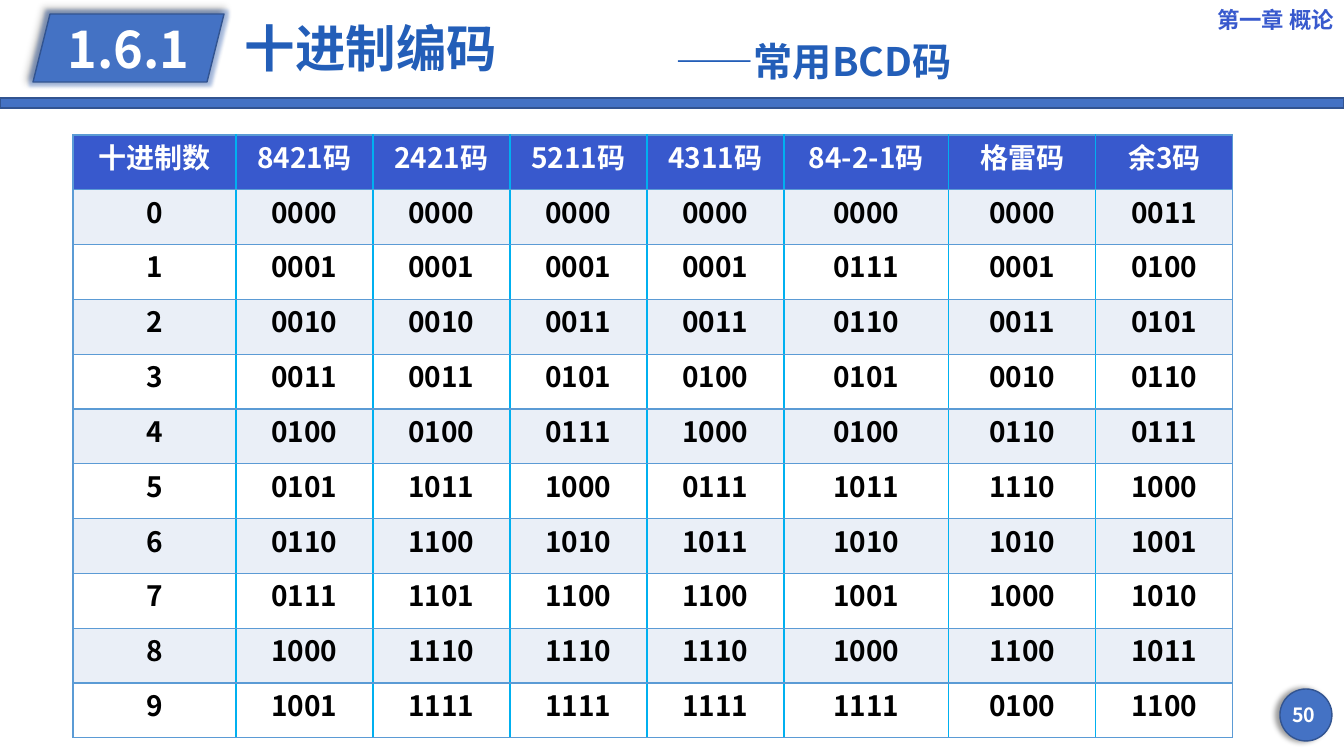
from lxml.etree import SubElement
from pptx import Presentation
from pptx.dml.color import RGBColor
from pptx.enum.shapes import MSO_SHAPE
from pptx.enum.text import MSO_ANCHOR, PP_ALIGN
from pptx.oxml.ns import qn
from pptx.util import Emu, Pt

COLORS = {
    "blue": "4472C4", "outline": "325491", "title": "235EB8", "header": "3859CD",
    "row": "5B9BD5", "column": "00B0F0", "band": "EAEFF7",
    "white": "FFFFFF", "black": "000000",
}
FONT = "Noto Sans CJK SC"
COLUMN_WIDTHS = [163, 137, 137, 137, 137, 165, 147, 137]
CODE_TABLE = [
    "十进制数 8421码 2421码 5211码 4311码 84-2-1码 格雷码 余3码",
    "0 0000 0000 0000 0000 0000 0000 0011",
    "1 0001 0001 0001 0001 0111 0001 0100",
    "2 0010 0010 0011 0011 0110 0011 0101",
    "3 0011 0011 0101 0100 0101 0010 0110",
    "4 0100 0100 0111 1000 0100 0110 0111",
    "5 0101 1011 1000 0111 1011 1110 1000",
    "6 0110 1100 1010 1011 1010 1010 1001",
    "7 0111 1101 1100 1100 1001 1000 1010",
    "8 1000 1110 1110 1110 1000 1100 1011",
    "9 1001 1111 1111 1111 1111 0100 1100",
]


def px(length):
    return Emu(round(length * 914400 / 100.8))


class SlideBuilder:
    """Draws styled elements on the current slide, with lengths in px."""

    def __init__(self, deck):
        self.slide = deck.slides.add_slide(deck.slide_layouts[6])

    def color(self, name):
        return RGBColor.from_string(COLORS[name])

    def set_text(self, frame, text, size, color, align=PP_ALIGN.CENTER, spacing=None):
        para = frame.paragraphs[0]
        para.text = text
        para.alignment = align
        para.line_spacing = spacing
        font = para.font
        font.size, font.bold, font.name = Pt(size), True, FONT
        font.color.rgb = self.color(color)
        properties = para._p.pPr.find(qn("a:defRPr"))
        SubElement(properties, qn("a:ea"), typeface=FONT)

    def effect(self, parent, kind, color, alpha, **settings):
        effect = SubElement(parent, qn(kind), **settings)
        tint = SubElement(effect, qn("a:srgbClr"), val=COLORS[color])
        SubElement(tint, qn("a:alpha"), val=str(alpha * 1000))

    def shape(self, kind, area, shadow_angle=None, glow=False):
        shape = self.slide.shapes.add_shape(kind, *map(px, area))
        shape.shadow.inherit = False
        shape.fill.solid()
        shape.fill.fore_color.rgb = self.color("blue")
        shape.line.color.rgb = self.color("outline")
        shape.line.width = Pt(1)
        effects = shape._element.spPr.find(qn("a:effectLst"))
        if glow:
            self.effect(effects, "a:glow", "blue", 40, rad=str(Pt(5)))
        if shadow_angle is not None:
            self.effect(effects, "a:outerShdw", "black", 40, blurRad=str(Pt(4)),
                        dist=str(Pt(3)), dir=str(shadow_angle * 60000))
        return shape

    def text(self, area, text, size, color, anchor=MSO_ANCHOR.MIDDLE, **style):
        box = self.slide.shapes.add_textbox(*map(px, area))
        box.text_frame.word_wrap = True
        box.text_frame.vertical_anchor = anchor
        self.set_text(box.text_frame, text, size, color, **style)

    def borders(self, cell, **sides):
        properties = cell._tc.get_or_add_tcPr()
        for side, color in sides.items():
            line = SubElement(properties, qn(f"a:{side}"), w=str(Pt(1)))
            fill = SubElement(line, qn("a:solidFill"))
            SubElement(fill, qn("a:srgbClr"), val=COLORS[color])

    def table(self, area, widths, rows):
        last = len(widths) - 1
        table = self.slide.shapes.add_table(len(rows), len(widths), *map(px, area)).table
        for column, width in zip(table.columns, widths):
            column.width = px(width)
        for row_index, row in enumerate(rows):
            fill = "header" if row_index == 0 else "band" if row_index % 2 else "white"
            ink = "black" if row_index else "white"
            for column_index, value in enumerate(row.split()):
                cell = table.cell(row_index, column_index)
                cell.margin_left = cell.margin_right = px(13)
                cell.margin_top = cell.margin_bottom = 0
                cell.vertical_anchor = MSO_ANCHOR.MIDDLE
                self.borders(cell, lnL="column" if column_index else "row",
                             lnR="column" if column_index < last else "row",
                             lnT="row", lnB="row")
                cell.fill.solid()
                cell.fill.fore_color.rgb = self.color(fill)
                self.set_text(cell.text_frame, value, 20, ink, spacing=Pt(20))


def main():
    deck = Presentation()
    deck.slide_width, deck.slide_height = px(1344), px(756)
    page = SlideBuilder(deck)
    page.shape(MSO_SHAPE.RECTANGLE, (0, 98, 1344, 10))
    page.shape(MSO_SHAPE.OVAL, (1280, 689, 52, 52), shadow_angle=180)
    page.text((1273, 695, 62, 40), "50", 14, "white")
    page.text((618, 9, 391, 73), "——常用BCD码", 28, "title",
              anchor=MSO_ANCHOR.TOP, spacing=1.5)
    page.text((1145, 0, 199, 40), "第一章 概论", 16, "header", align=PP_ALIGN.RIGHT)
    page.table((73, 135, sum(COLUMN_WIDTHS), 603), COLUMN_WIDTHS, CODE_TABLE)
    badge = page.shape(MSO_SHAPE.PARALLELOGRAM, (33, 14, 191, 68),
                       shadow_angle=225, glow=True)
    badge.text_frame.word_wrap = False
    badge.text_frame.vertical_anchor = MSO_ANCHOR.MIDDLE
    page.set_text(badge.text_frame, "1.6.1", 36, "white")
    page.text((235, 11, 298, 81), "十进制编码", 36, "title",
              align=PP_ALIGN.LEFT, spacing=0.9)
    deck.save("out.pptx")


if __name__ == "__main__":
    main()
